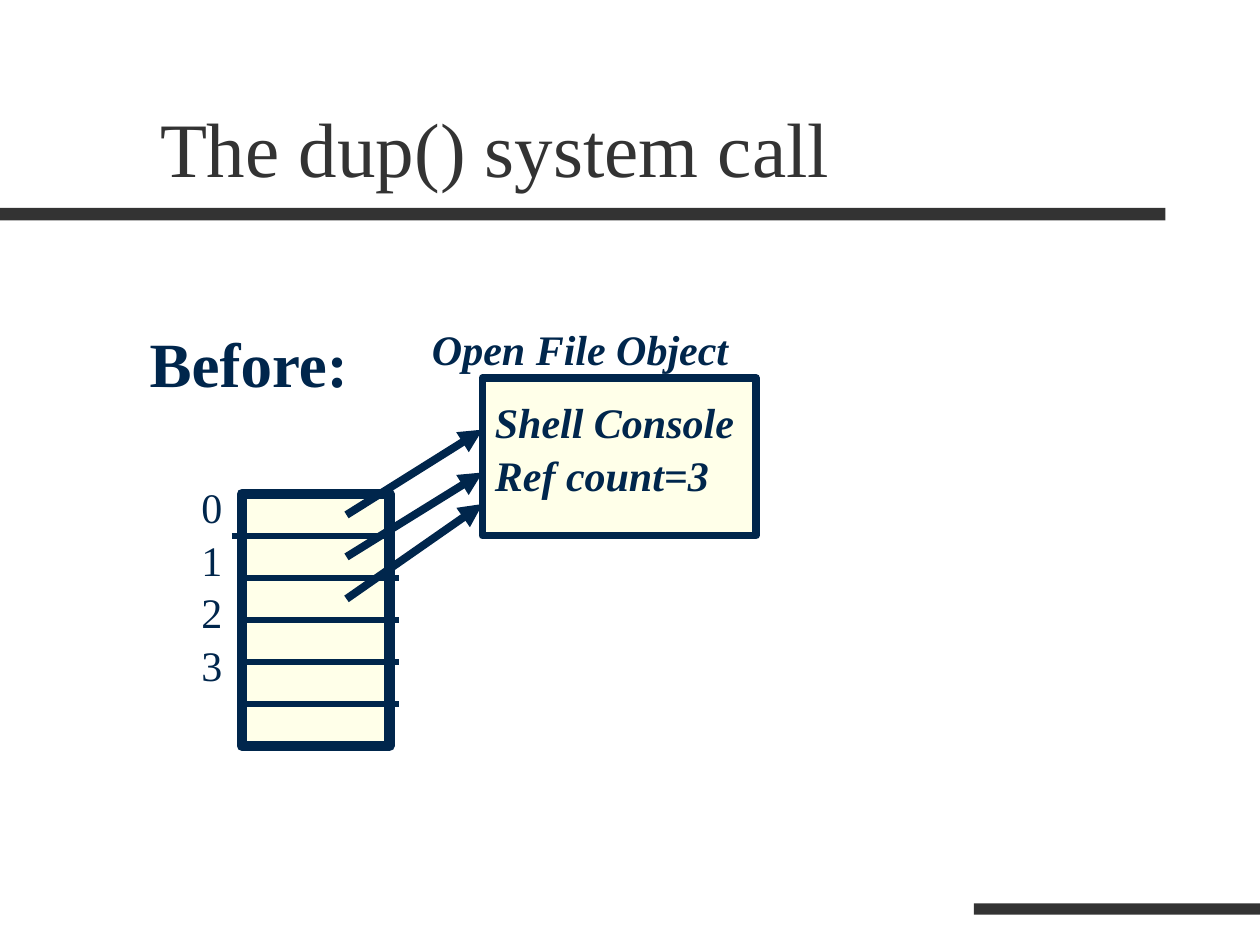
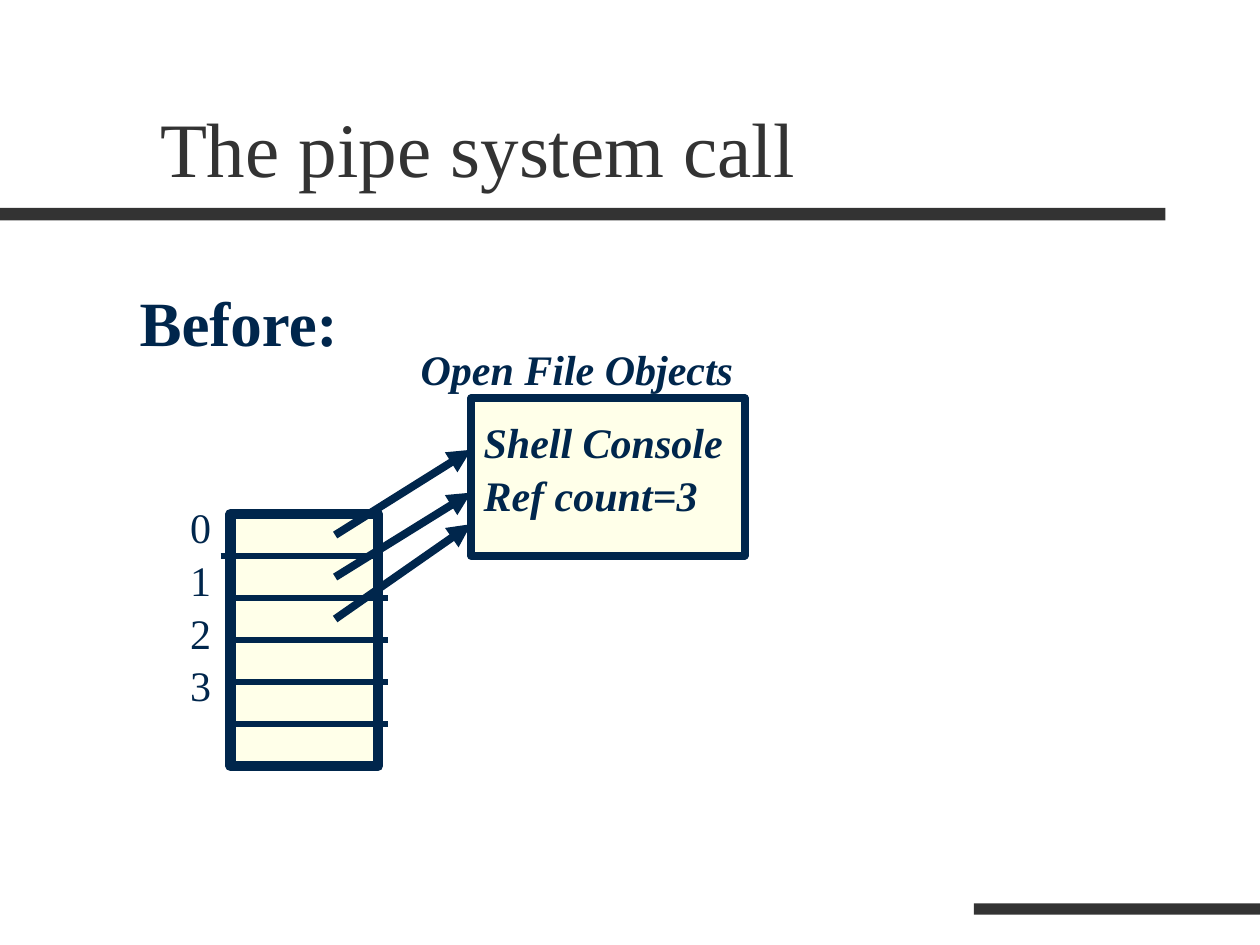
from lxml import etree
from pptx import Presentation
from pptx.dml.color import RGBColor
from pptx.enum import shapes, text
from pptx.oxml import ns
from pptx.util import Inches, Pt

SLIDES = [
    {"title": "The dup() system call", "label": "Open File Object", "label_width": 2.58,
     "stage_at": (1.09, 2.5), "table_at": (1.92, 3.92)},
    {"title": "The pipe system call", "label": "Open File Objects", "label_width": 3,
     "stage_at": (1.01, 2.17), "table_at": (1.83, 4.08)},
]
STAGE = "Before:"
DESCRIPTORS = "0 1 2 3"
FILE_OBJECT = ["Shell Console", "Ref count=3"]

COLORS = {"band": "333333", "ink": "00264C", "cell": "FFFFE9"}
FONT = "Times New Roman"
BANDS = [(0, 1.65, 9.25, 0.1), (7.73, 7.17, 2.27, 0.09)]
TITLE_BOX = (1.17, 0.33, 8.5, 1.25)
TABLE_WIDTH, TABLE_HEIGHT, ROWS = 1.17, 2, 6
ROW_HEIGHT = TABLE_HEIGHT / ROWS
DIVIDER_WIDTH = 1.25
FIRST_DIVIDER_SHIFT = -0.08
OBJECT_OFFSET = (1.91, -0.92)
OBJECT_SIZE = (2.17, 1.25)
ARROW_START_X = 0.83
ARROW_END_YS = [-0.51, -0.17, 0.08]


def rgb(name):
    return RGBColor.from_string(COLORS[name])


def add_box(slide, box, fill, line_width=0):
    rect = slide.shapes.add_shape(shapes.MSO_SHAPE.RECTANGLE, *map(Inches, box))
    rect.shadow.inherit = False
    rect.fill.solid()
    rect.fill.fore_color.rgb = rgb(fill)
    if line_width:
        rect.line.color.rgb = rgb("ink")
        rect.line.width = Pt(line_width)
    else:
        rect.line.fill.background()
    return rect


def add_line(slide, start, end, width, arrow=False):
    line = slide.shapes.add_connector(
        shapes.MSO_CONNECTOR.STRAIGHT, *map(Inches, (*start, *end)))
    line.line.color.rgb = rgb("ink")
    line.line.width = Pt(width)
    if arrow:
        etree.SubElement(line.line._get_or_add_ln(), ns.qn("a:tailEnd"), type="triangle")
    etree.SubElement(line.element.spPr, ns.qn("a:effectLst"))


def write(frame, lines, size, color="ink", bold=False, italic=False, spacing=1.05):
    for index, line in enumerate(lines):
        paragraph = frame.add_paragraph() if index else frame.paragraphs[0]
        paragraph.alignment = text.PP_ALIGN.LEFT
        paragraph.line_spacing = spacing
        run = paragraph.add_run()
        run.text = line
        run.font.name = FONT
        run.font.size = Pt(size)
        run.font.bold = bold
        run.font.italic = italic
        run.font.color.rgb = rgb(color)


def add_text(slide, box, lines, size, wrap=True, **style):
    frame = slide.shapes.add_textbox(*map(Inches, box)).text_frame
    frame.word_wrap = wrap
    write(frame, lines, size, **style)


def add_title(slide, wording):
    title = slide.shapes.title
    title.left, title.top, title.width, title.height = map(Inches, TITLE_BOX)
    frame = title.text_frame
    frame.auto_size = text.MSO_AUTO_SIZE.NONE
    frame.vertical_anchor = text.MSO_ANCHOR.BOTTOM
    write(frame, [wording], 44, color="band", spacing=1.0)


def add_bands_to_master(prs, slide):
    master_tree = prs.slide_master.element.cSld.spTree
    for index, box in enumerate(BANDS):
        master_tree.insert(2 + index, add_box(slide, box, "band").element)


def add_diagram(slide, content):
    left, top = content["table_at"]

    def at(dx, dy):
        return left + dx, top + dy

    add_box(slide, (left, top, TABLE_WIDTH, TABLE_HEIGHT), "cell", 6)
    for row in range(1, ROWS):
        shift = FIRST_DIVIDER_SHIFT if row == 1 else 0
        y = row * ROW_HEIGHT
        add_line(slide, at(shift, y), at(shift + DIVIDER_WIDTH, y), 3)

    object_x, object_y = OBJECT_OFFSET
    add_box(slide, (*at(object_x, object_y), *OBJECT_SIZE), "cell", 4.5)
    for row, end_y in enumerate(ARROW_END_YS):
        start = at(ARROW_START_X, (row + 0.5) * ROW_HEIGHT)
        add_line(slide, start, at(object_x, end_y), 4.5, arrow=True)

    add_text(slide, (*at(object_x - 0.5, object_y - 0.5), content["label_width"], 0.5),
             [content["label"]], 24, bold=True, italic=True)
    add_text(slide, (*at(object_x, object_y + 0.08), OBJECT_SIZE[0], 1.11),
             FILE_OBJECT, 24, bold=True, italic=True)
    add_text(slide, (*content["stage_at"], 1.77, 0.7), [STAGE], 36, wrap=False, bold=True)
    add_text(slide, (*at(-0.42, -0.17), 0.42, 1.7), [DESCRIPTORS], 24)


def main():
    prs = Presentation()
    prs.slide_width, prs.slide_height = Inches(10), Inches(7.5)
    for index, content in enumerate(SLIDES):
        slide = prs.slides.add_slide(prs.slide_layouts[5])
        if index == 0:
            add_bands_to_master(prs, slide)
        add_title(slide, content["title"])
        add_diagram(slide, content)
    prs.save("out.pptx")


if __name__ == "__main__":
    main()
